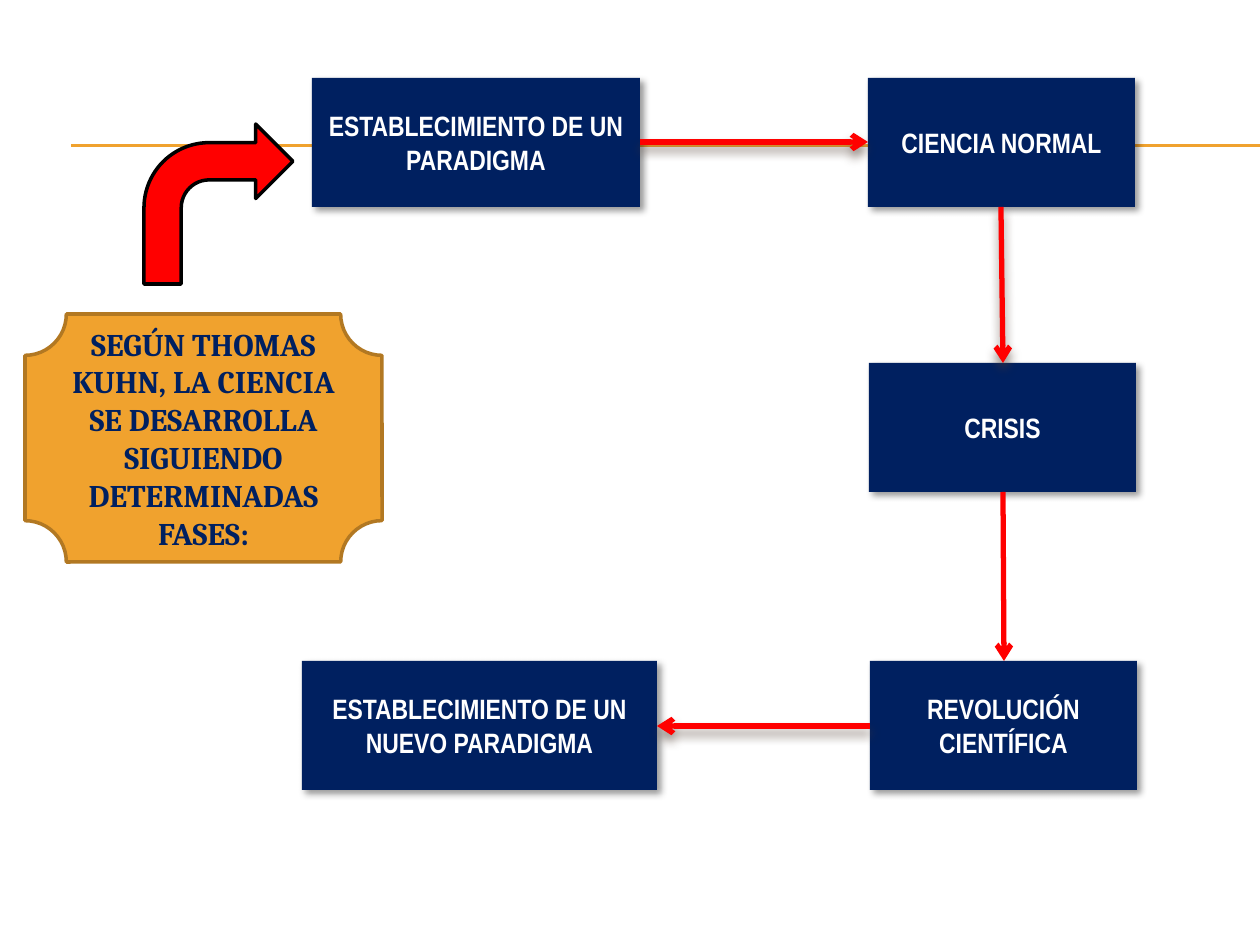
from lxml import etree
from pptx import Presentation
from pptx.dml.color import RGBColor
from pptx.enum.shapes import MSO_CONNECTOR, MSO_SHAPE
from pptx.enum.text import MSO_ANCHOR, PP_ALIGN
from pptx.oxml import parse_xml
from pptx.oxml.ns import qn
from pptx.util import Pt

PX = 914400 / 126
NS = "http://schemas.openxmlformats.org/drawingml/2006/main"
LINE, CENTER, MIDDLE = MSO_CONNECTOR.STRAIGHT, PP_ALIGN.CENTER, MSO_ANCHOR.MIDDLE
CHEVRON, PLAQUE, BENT = MSO_SHAPE.CHEVRON, MSO_SHAPE.PLAQUE, MSO_SHAPE.BENT_ARROW
NAVY = RGBColor(0x00, 0x20, 0x60)
GOLD = RGBColor(0xF0, 0xA2, 0x2E)
BROWN = RGBColor(0xB2, 0x78, 0x22)
RED = RGBColor(0xFF, 0x00, 0x00)
WHITE = RGBColor(0xFF, 0xFF, 0xFF)
BLACK = RGBColor(0x00, 0x00, 0x00)
# Shadow: colour, opacity %, blur pt, distance pt, angle
BOX_SHADE = ("000000", 40, 4, 3, 45)
ARROW_SHADE = ("4E3B30", 60, 6, 4, 90)

deck = Presentation()
deck.slide_width, deck.slide_height = round(1260 * PX), round(945 * PX)
slide = deck.slides.add_slide(deck.slide_layouts[6])
shapes = slide.shapes


def shade(item, look):
    """Replace the theme shadow with the given one, or with none."""
    props = item._element.spPr
    for old in props.findall(qn("a:effectLst")):
        props.remove(old)
    inner = ""
    if look:
        tint, alpha, blur, dist, turn = look
        inner = (f'<a:outerShdw blurRad="{Pt(blur)}" dist="{Pt(dist)}" '
                 f'dir="{turn * 60000}" algn="tl" rotWithShape="0">'
                 f'<a:srgbClr val="{tint}"><a:alpha val="{alpha * 1000}"/>'
                 '</a:srgbClr></a:outerShdw>')
    props.append(parse_xml(f'<a:effectLst xmlns:a="{NS}">{inner}</a:effectLst>'))


def write(shape, text, style):
    frame = shape.text_frame
    frame.word_wrap, frame.vertical_anchor = True, MIDDLE
    para = frame.paragraphs[0]
    para.text, para.alignment = text, CENTER
    font = para.runs[0].font
    font.color.rgb = style["color"]
    for key in ("name", "size", "bold"):
        setattr(font, key, style[key])


# Double rule behind the diagram
for y in (145, 146):
    rule = shapes.add_connector(LINE, *[round(v * PX) for v in (71, y, 1260, y)])
    rule.line.color.rgb, rule.line.width = GOLD, Pt(0.75)
    shade(rule, None)

# Phase boxes
label = {"name": "Arial Narrow", "size": Pt(16), "bold": True, "color": WHITE}
phases = [
    ("ESTABLECIMIENTO DE UN PARADIGMA", 312, 78, 328),
    ("CIENCIA NORMAL", 868, 78, 267),
    ("CRISIS", 869, 363, 267),
    ("REVOLUCIÓN CIENTÍFICA", 870, 661, 267),
    ("ESTABLECIMIENTO DE UN NUEVO PARADIGMA", 302, 661, 355),
]
for text, x, y, wide in phases:
    box = shapes.add_shape(CHEVRON, *[round(v * PX) for v in (x, y, wide, 129)])
    box.adjustments[0] = 0
    box.fill.solid()
    box.fill.fore_color.rgb = NAVY
    box.line.fill.background()
    shade(box, BOX_SHADE)
    write(box, text, label)

# Arrows from phase to phase
arrows = [
    ((640, 142, 868, 142), ARROW_SHADE),
    ((1001, 207, 1003, 363), ARROW_SHADE),
    ((1003, 492, 1004, 661), None),
    ((870, 726, 657, 726), ARROW_SHADE),
]
for ends, look in arrows:
    arrow = shapes.add_connector(LINE, *[round(v * PX) for v in ends])
    arrow.line.color.rgb, arrow.line.width = RED, Pt(3)
    etree.SubElement(arrow.line._get_or_add_ln(), qn("a:tailEnd"), type="arrow")
    shade(arrow, look)

# Intro plaque and the bent arrow leading to the first phase
intro = {"name": "Cambria", "size": Pt(18), "bold": True, "color": NAVY}
quote = "SEGÚN THOMAS KUHN, LA CIENCIA SE DESARROLLA SIGUIENDO DETERMINADAS FASES:"
for kind, place, fill, edge, text in [
    (PLAQUE, (25, 314, 357, 248), GOLD, BROWN, quote),
    (BENT, (144, 124, 149, 160), RED, BLACK, None),
]:
    shape = shapes.add_shape(kind, *[round(v * PX) for v in place])
    shape.fill.solid()
    shape.fill.fore_color.rgb = fill
    shape.line.color.rgb, shape.line.width = edge, Pt(2)
    shape.shadow.inherit = False
    if text:
        write(shape, text, intro)

deck.save("out.pptx")
